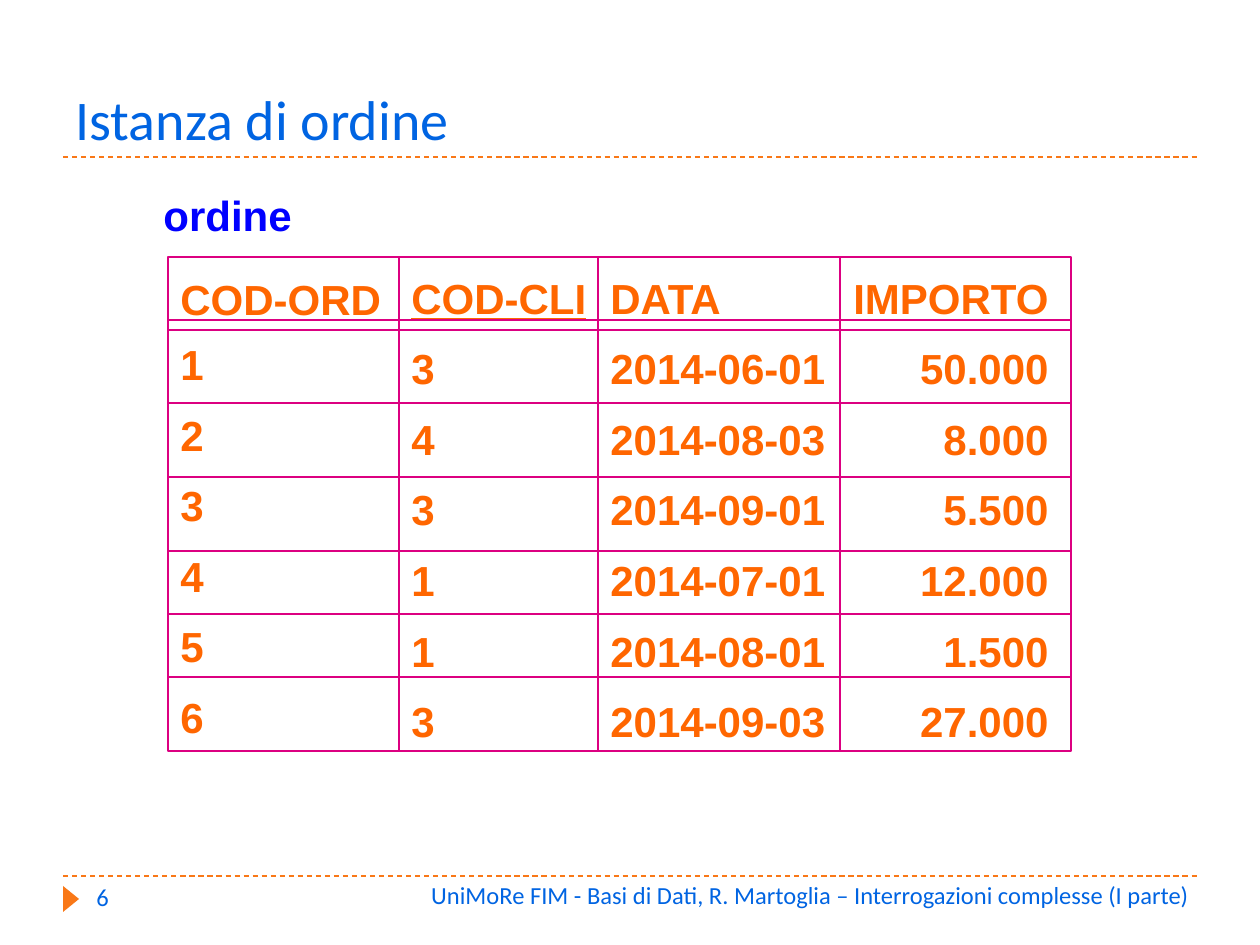
import pptx
import pptx.dml.color
import pptx.enum.dml
import pptx.enum.shapes
import pptx.enum.text
import pptx.oxml
import pptx.oxml.ns
import pptx.util

RGBColor = pptx.dml.color.RGBColor
ALIGN = pptx.enum.text.PP_ALIGN
ANCHOR = pptx.enum.text.MSO_ANCHOR
AUTO_SIZE = pptx.enum.text.MSO_AUTO_SIZE
SHAPE = pptx.enum.shapes.MSO_SHAPE
DASH = pptx.enum.dml.MSO_LINE.DASH

BLUE = RGBColor(0x00, 0x64, 0xE2)
LABEL_BLUE = RGBColor(0x00, 0x00, 0xFF)
ORANGE = RGBColor(0xF9, 0x78, 0x17)
DATA_ORANGE = RGBColor(0xFF, 0x66, 0x00)
MAGENTA = RGBColor(0xDC, 0x00, 0x81)

PX_PER_INCH = 126
SLIDE_WIDTH, SLIDE_HEIGHT = 1260, 945

# Frame of the relation and its inner rules
LEFT, TOP, RIGHT, BOTTOM = 168, 257, 1071, 751
COLUMN_RULES = [399, 598, 840]
ROW_RULES = [320, 330, 403, 477, 551, 614, 677]

# Each column: box, values (heading first), format
COLUMNS = [
    ((168, 252, 228, 493), ["COD-ORD", "1", "2", "3", "4", "5", "6"],
     {"underline_first": True, "spacing": [1.3, 1.3] + [1.4] * 5}),
    ((399, 246, 202, 503), ["COD-CLI", "3", "4", "3", "1", "1", "3"],
     {"underline_first": True}),
    ((598, 246, 242, 503),
     ["DATA", "2014-06-01", "2014-08-03", "2014-09-01",
      "2014-07-01", "2014-08-01", "2014-09-03"], {}),
    ((839, 246, 222, 503),
     ["IMPORTO", "50.000", "8.000", "5.500", "12.000", "1.500", "27.000"],
     {"align": ALIGN.RIGHT}),
]


def px(length):
    return pptx.util.Emu(round(length * 914400 / PX_PER_INCH))


def add_text(slide, box, lines, size=14, font="Calibri", color=BLUE,
             bold=False, align=ALIGN.LEFT, anchor=ANCHOR.TOP, wrap=True,
             spacing=None, underline_first=False):
    shape = slide.shapes.add_textbox(*map(px, box))
    frame = shape.text_frame
    frame.word_wrap = wrap
    frame.auto_size = AUTO_SIZE.NONE if wrap else AUTO_SIZE.SHAPE_TO_FIT_TEXT
    frame.vertical_anchor = anchor
    for index, line in enumerate(lines):
        paragraph = frame.add_paragraph() if index else frame.paragraphs[0]
        paragraph.alignment = align
        if spacing:
            paragraph.line_spacing = spacing[index]
        run = paragraph.add_run()
        run.text = line
        run.font.name = font
        run.font.size = pptx.util.Pt(size)
        run.font.bold = bold
        run.font.color.rgb = color
        if underline_first and index == 0:
            run.font.underline = True
    return shape


def add_line(slide, start, end, color=MAGENTA, width=1, dash=None):
    line = slide.shapes.add_connector(
        pptx.enum.shapes.MSO_CONNECTOR.STRAIGHT, *map(px, start + end))
    line.line.color.rgb = color
    line.line.width = pptx.util.Pt(width)
    if dash:
        line.line.dash_style = dash
    properties = line._element.spPr
    properties.append(pptx.oxml.parse_xml(
        "<a:effectLst %s/>" % pptx.oxml.ns.nsdecls("a")))


def add_shape(slide, kind, box, fill=None, outline=None):
    shape = slide.shapes.add_shape(kind, *map(px, box))
    shape.shadow.inherit = False
    if fill is not None:
        shape.fill.solid()
        shape.fill.fore_color.rgb = fill
    else:
        shape.fill.background()
    if outline is not None:
        shape.line.color.rgb = outline
        shape.line.width = pptx.util.Pt(1)
    else:
        shape.line.fill.background()
    return shape


def add_relation(slide):
    add_shape(slide, SHAPE.RECTANGLE, (LEFT, TOP, RIGHT - LEFT, BOTTOM - TOP),
              outline=MAGENTA)
    for box, values, text_format in COLUMNS:
        settings = {"spacing": [1.4] * len(values), **text_format}
        add_text(slide, box, values, size=24, font="Arial", color=DATA_ORANGE,
                 bold=True, wrap=False, **settings)
    for x in COLUMN_RULES:
        add_line(slide, (x, TOP), (x, BOTTOM - 1))
    for y in ROW_RULES:
        add_line(slide, (LEFT, y), (RIGHT, y))


def main():
    presentation = pptx.Presentation()
    presentation.slide_width = px(SLIDE_WIDTH)
    presentation.slide_height = px(SLIDE_HEIGHT)
    slide = presentation.slides.add_slide(presentation.slide_layouts[6])

    # Dashed rules and page marker
    for y in (876, 157):
        add_line(slide, (63, y), (1197, y), color=ORANGE, width=0.75, dash=DASH)
    marker = add_shape(slide, SHAPE.ISOSCELES_TRIANGLE, (58, 891, 26, 16),
                       fill=ORANGE)
    marker.rotation = 90

    # Title and relation
    add_text(slide, (63, 32, 1134, 126), ["Istanza di ordine"], size=32,
             anchor=ANCHOR.BOTTOM)
    add_text(slide, (151, 183, 155, 63), ["ordine"], size=24, font="Arial",
             color=LABEL_BLUE, bold=True, wrap=False)
    add_relation(slide)

    # Footer
    add_text(slide, (84, 876, 273, 50), ["6"])
    add_text(slide, (343, 874, 859, 50),
             ["UniMoRe FIM - Basi di Dati, R. Martoglia – "
              "Interrogazioni complesse (I parte)"], align=ALIGN.RIGHT)

    presentation.save("out.pptx")


if __name__ == "__main__":
    main()
